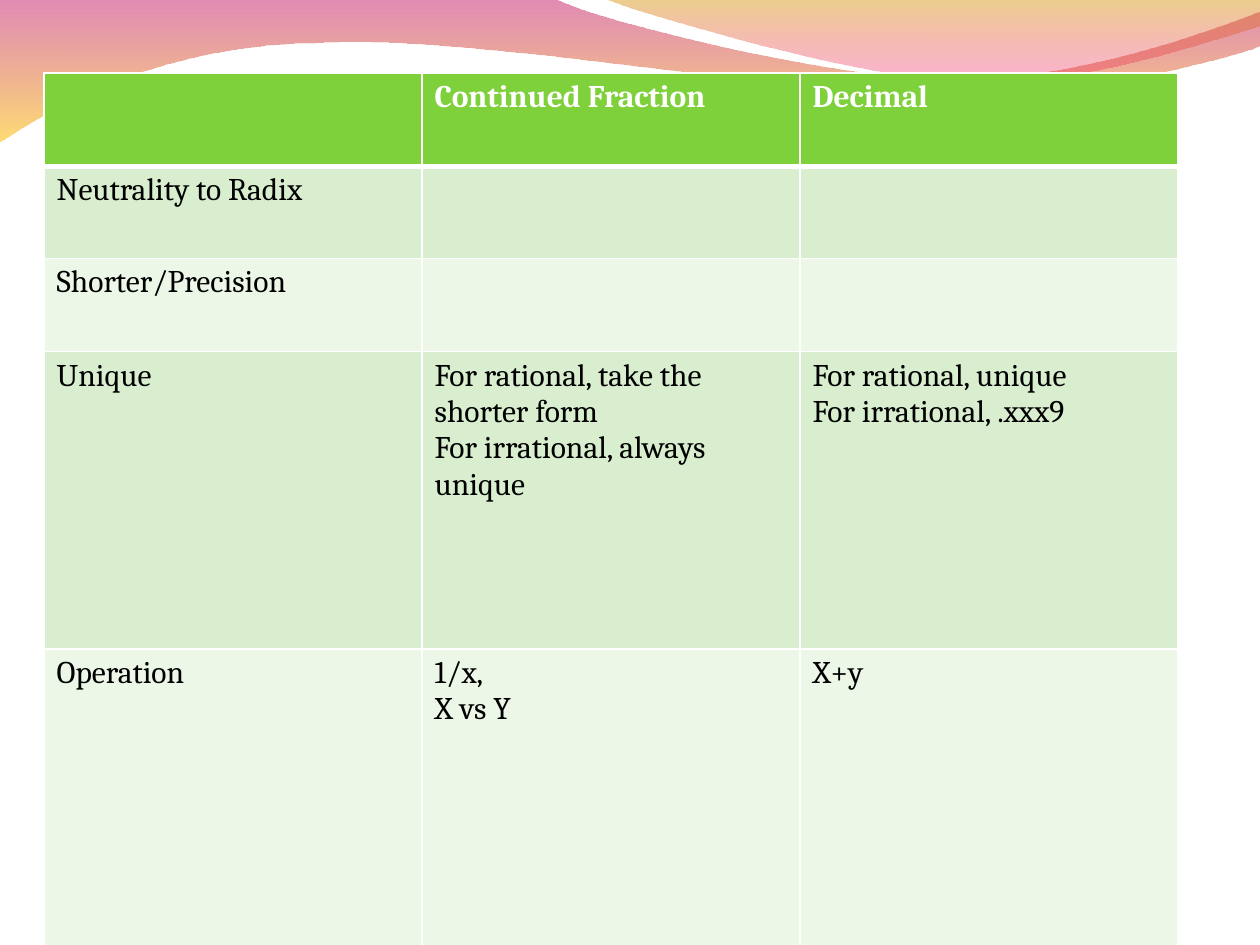
from dataclasses import dataclass

from lxml import etree
from pptx import Presentation
from pptx import util as u
from pptx.dml.color import RGBColor
from pptx.oxml.ns import qn


@dataclass(frozen=True)
class Theme:
    font: str = "Cambria"
    size: int = 18
    header: str = "7FD13B"
    bands: tuple = ("D8EECE", "ECF7E8")
    header_text: str = "FFFFFF"
    body_text: str = "000000"
    border: str = "FFFFFF"
    thin: int = 1
    thick: int = 3
    back_wave: tuple = (("BC0057", 45), ("FFC000", 55))
    front_wave: tuple = (("D69200", 45), ("F40069", 30))


BACK_WAVE = [
    [(0, -0.01)],
    [(4.4, -0.01)],
    [(4.76, 0.17), (6.64, 0.63), (7.58, 0.63)],
    [(8.53, 0.63), (9.58, 0.26), (10, 0.09)],
    [(10.01, 0.36)],
    [(9.83, 0.44), (8.7, 0.76), (7.46, 0.75)],
    [(6.22, 0.75), (3.82, 0.28), (2.57, 0.34)],
    [(1.29, 0.35), (0.46, 0.83), (-0.01, 1.13)],
    [(0, -0.01)],
]
FRONT_WAVE = [
    [(4.79, -0.01)],
    [(5.09, 0.11), (6.82, 0.62), (7.69, 0.65)],
    [(8.56, 0.69), (9.61, 0.32), (10, 0.21)],
    [(10, 0)],
    [(4.79, -0.01)],
]
COMPARISON = [
    ("", "Continued Fraction", "Decimal"),
    ("Neutrality to Radix", "", ""),
    ("Shorter/Precision", "", ""),
    ("Unique",
     "For rational, take the shorter form\nFor irrational, always unique",
     "For rational, unique\nFor irrational, .xxx9"),
    ("Operation", "1/x,\nX vs Y", "X+y"),
]
ROW_HEIGHTS = (0.74, 0.73, 0.74, 2.36, 2.36)


class SlideBuilder:
    """Draws styled elements on the current slide."""

    def __init__(self, slide, theme):
        self.slide = slide
        self.theme = theme

    def wave(self, outline, stops):
        points = [(u.Inches(x), u.Inches(y)) for segment in outline for x, y in segment]
        builder = self.slide.shapes.build_freeform(*points[0])
        builder.add_line_segments(points[1:], close=True)
        shape = builder.convert_to_shape()
        self.bend(shape, outline)
        shape.shadow.inherit = False
        shape.line.fill.background()
        shape.fill.gradient()
        shape.fill.gradient_angle = 270
        for stop, (color, _) in zip(shape.fill.gradient_stops, stops):
            stop.color.rgb = RGBColor.from_string(color)
        colors = shape._element.spPr.iter(qn("a:srgbClr"))
        for color, (_, opacity) in zip(colors, stops):
            etree.SubElement(color, qn("a:alpha"), val=str(opacity * 1000))

    def bend(self, shape, outline):
        lines = iter(list(shape._element.spPr.iter(qn("a:lnTo"))))
        for segment in outline[1:]:
            parts = [next(lines) for _ in segment]
            if len(parts) == 3:
                curve = etree.Element(qn("a:cubicBezTo"))
                parts[0].addprevious(curve)
                for part in parts:
                    curve.append(part[0])
                    part.getparent().remove(part)

    def table(self, rows, heights, left, top, width):
        frame = self.slide.shapes.add_table(
            len(rows), len(rows[0]), u.Inches(left), u.Inches(top),
            u.Inches(width), u.Inches(sum(heights)))
        table = frame.table
        for row_index, (values, height) in enumerate(zip(rows, heights)):
            table.rows[row_index].height = u.Inches(height)
            for column_index, value in enumerate(values):
                self.cell(table.cell(row_index, column_index), value, row_index)

    def cell(self, cell, value, row_index):
        theme = self.theme
        is_header = row_index == 0
        top = theme.thick if row_index == 1 else theme.thin
        bottom = theme.thick if is_header else theme.thin
        self.borders(cell, L=theme.thin, R=theme.thin, T=top, B=bottom)
        fill = theme.header if is_header else theme.bands[(row_index - 1) % 2]
        cell.fill.solid()
        cell.fill.fore_color.rgb = RGBColor.from_string(fill)
        cell.text_frame.text = value
        color = theme.header_text if is_header else theme.body_text
        for paragraph in cell.text_frame.paragraphs:
            for run in paragraph.runs:
                run.font.name = theme.font
                run.font.size = u.Pt(theme.size)
                run.font.bold = is_header
                run.font.color.rgb = RGBColor.from_string(color)

    def borders(self, cell, **widths):
        properties = cell._tc.get_or_add_tcPr()
        for side, width in widths.items():
            line = etree.SubElement(properties, qn(f"a:ln{side}"), w=str(u.Pt(width)))
            solid = etree.SubElement(line, qn("a:solidFill"))
            etree.SubElement(solid, qn("a:srgbClr"), val=self.theme.border)


def main():
    presentation = Presentation()
    presentation.slide_width = u.Inches(10)
    presentation.slide_height = u.Inches(7.5)
    blank_layout = presentation.slide_layouts[6]
    theme = Theme()
    builder = SlideBuilder(presentation.slides.add_slide(blank_layout), theme)
    builder.wave(BACK_WAVE, theme.back_wave)
    builder.wave(FRONT_WAVE, theme.front_wave)
    builder.table(COMPARISON, ROW_HEIGHTS, left=0.35, top=0.58, width=9)
    presentation.save("out.pptx")


if __name__ == "__main__":
    main()
